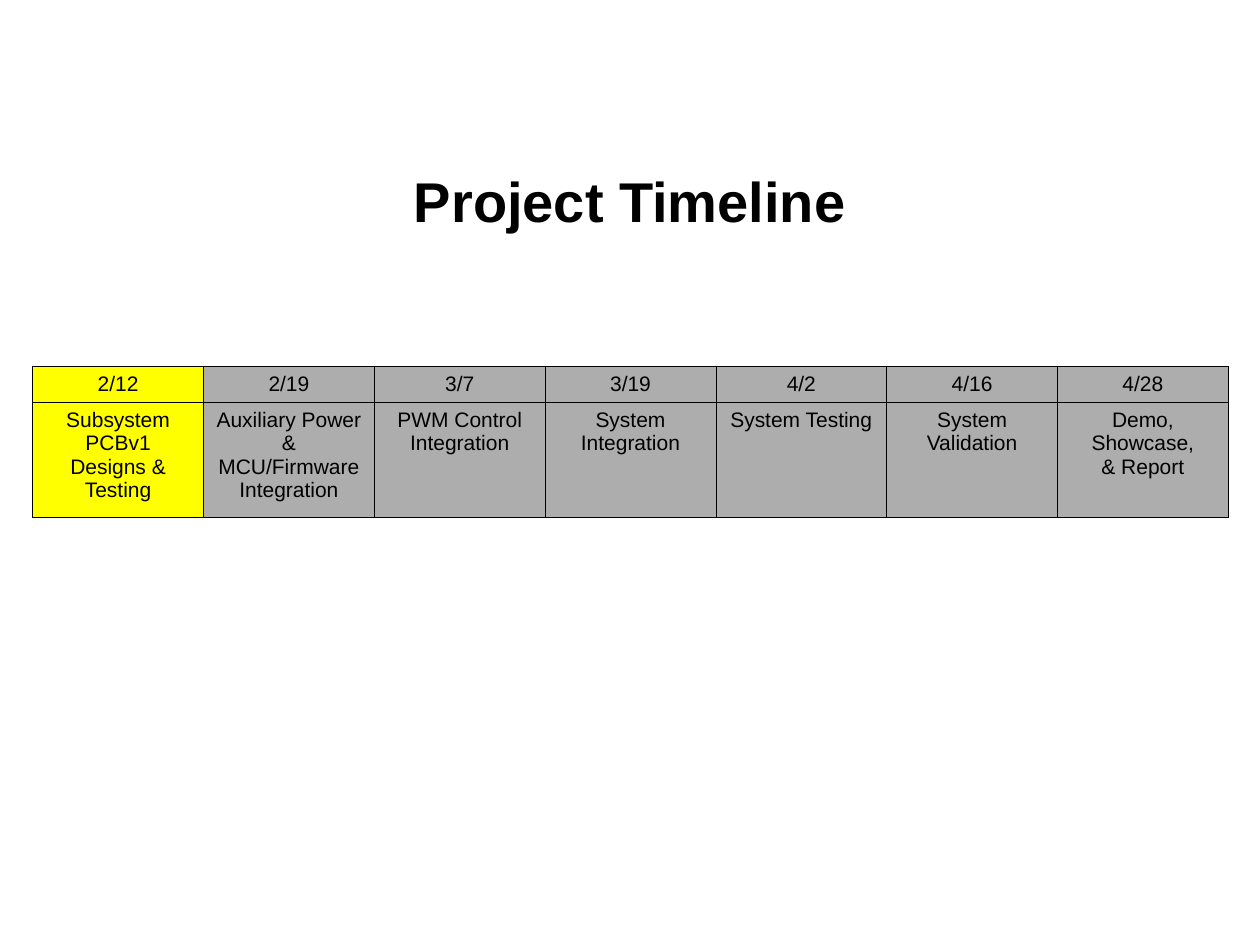
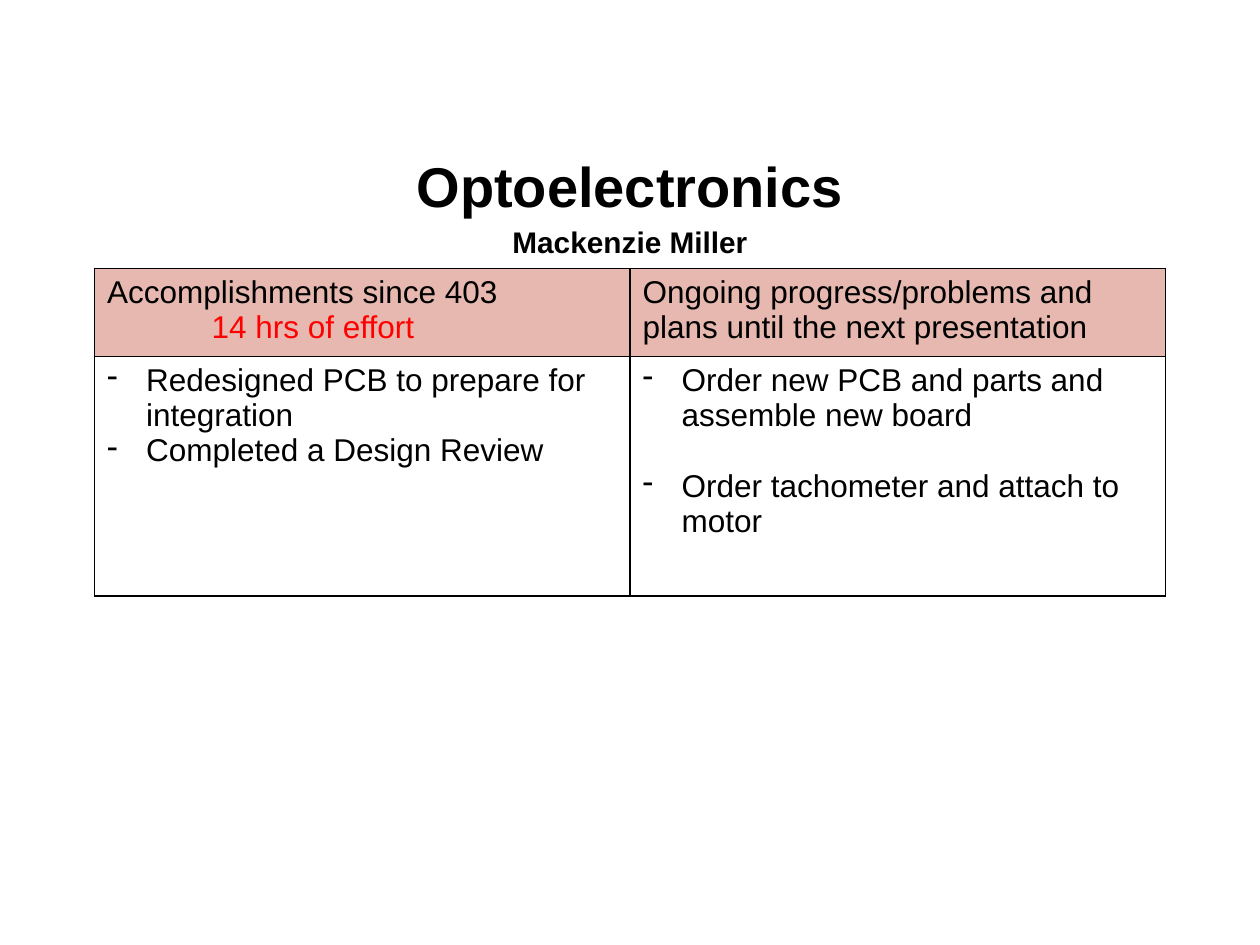
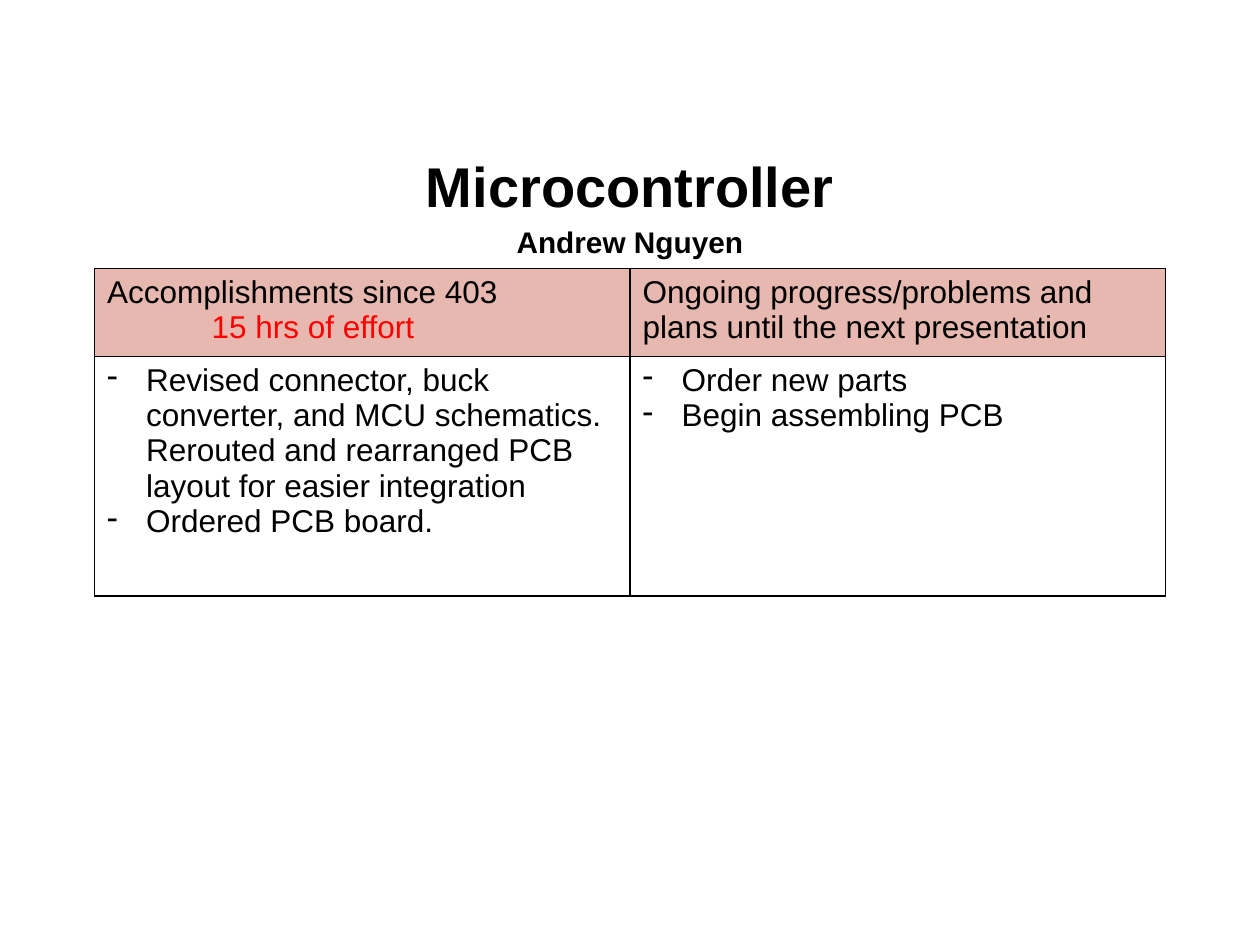
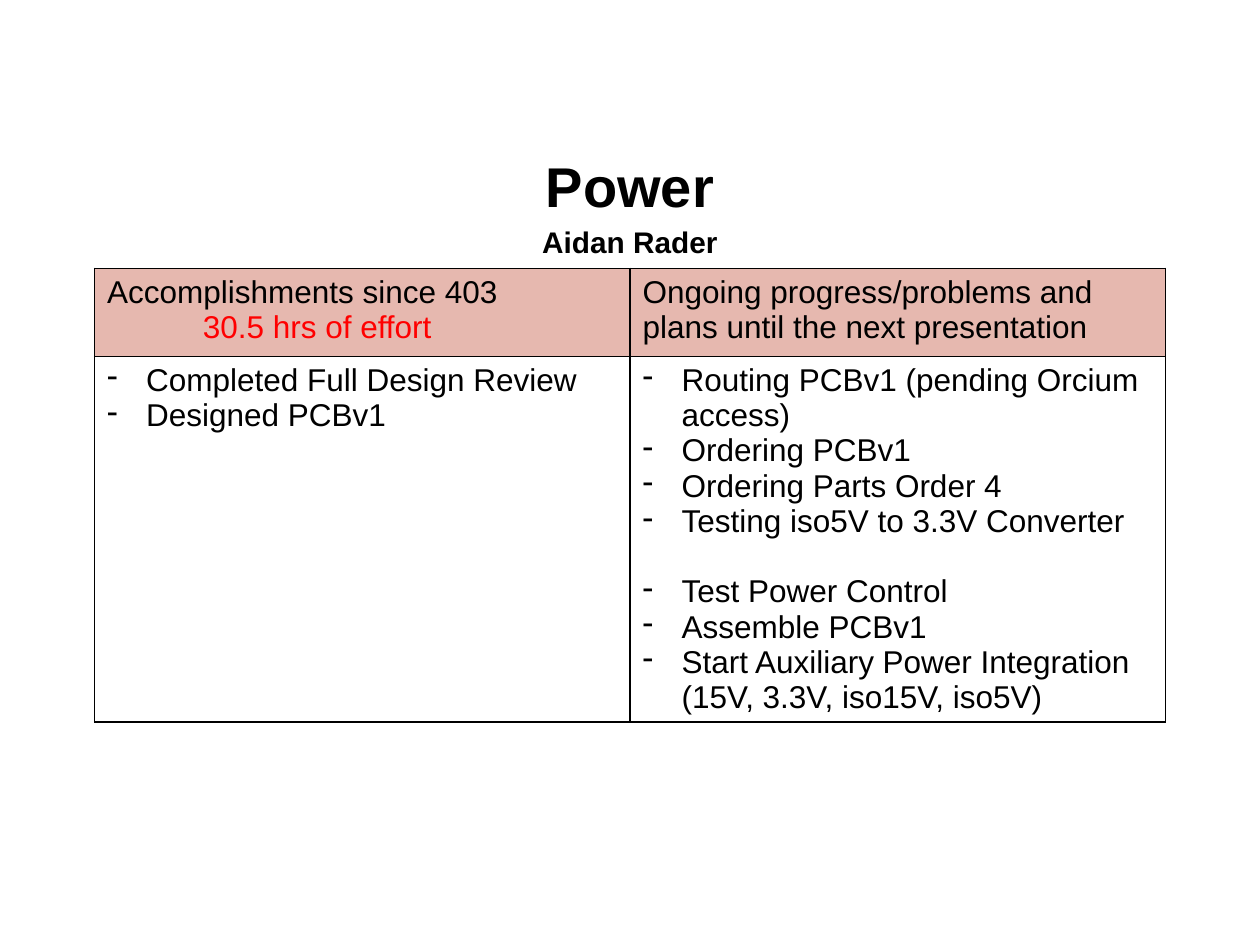
from pptx import Presentation
from pptx.dml.color import RGBColor as RGB
from pptx.enum.text import MSO_ANCHOR as Anchor, MSO_AUTO_SIZE as AutoSize, PP_ALIGN as Align
from pptx.oxml.ns import qn
from pptx.util import Inches, Pt
from lxml.etree import SubElement

# Shared look
W, H = Inches(10), Inches(7.5)
FONT = "Arial"
COLORS = {"text": "000000", "line": "000000", "effort": "FF0000",
          "current": "FFFF00", "upcoming": "ADADAD", "header": "E6B8AF"}
BULLET_INDENT = Inches(0.31)
BLANK_LINE = Pt(20)

# Content
MILESTONES = [
    ("2/12", "Subsystem PCBv1 Designs & Testing"),
    ("2/19", "Auxiliary Power & MCU/Firmware Integration"),
    ("3/7", "PWM Control Integration"),
    ("3/19", "System Integration"),
    ("4/2", "System Testing"),
    ("4/16", "System\nValidation"),
    ("4/28", "Demo, Showcase,\n& Report"),
]
DONE_HEAD = "Accomplishments since 403"
NEXT_HEAD = "Ongoing progress/problems and plans until the next presentation"
# Each list of plans is split into groups set apart by one line
REPORTS = [
    dict(title="Optoelectronics", owner="Mackenzie Miller",
         effort="14 hrs of effort", effort_indent=0.83, body_height=1.9,
         done=[["Redesigned PCB to prepare for integration",
                "Completed a Design Review"]],
         plans=[["Order new PCB and parts and assemble new board"],
                ["Order tachometer and attach to motor"]]),
    dict(title="Microcontroller", owner="Andrew Nguyen",
         effort="15 hrs of effort", effort_indent=0.83, body_height=1.9,
         done=[["Revised connector, buck converter, and MCU schematics. "
                "Rerouted and rearranged PCB layout for easier integration",
                "Ordered PCB board."]],
         plans=[["Order new parts", "Begin assembling PCB"]]),
    dict(title="Power", owner="Aidan Rader",
         effort="30.5 hrs of effort", effort_indent=0.76, body_height=2.9,
         done=[["Completed Full Design Review", "Designed PCBv1"]],
         plans=[["Routing PCBv1 (pending Orcium access)", "Ordering PCBv1",
                 "Ordering Parts Order 4", "Testing iso5V to 3.3V Converter"],
                ["Test Power Control", "Assemble PCBv1",
                 "Start Auxiliary Power Integration (15V, 3.3V, iso15V, iso5V)"]]),
]


def format_runs(p, size, color="text", bold=False):
    for r in p.runs:
        r.font.name, r.font.size, r.font.bold = FONT, Pt(size), bold
        r.font.color.rgb = RGB.from_string(COLORS[color])


def add_titled_slide(prs, title, owner=None):
    s = prs.slides.add_slide(prs.slide_layouts[5])
    sp = s.shapes.title
    sp.left, sp.top = int(W * 0.05), Inches(1.15)
    sp.width, sp.height = int(W * 0.9), Inches(0.88)
    tf = sp.text_frame
    tf.text = f"{title}\n{owner}" if owner else title
    tf.word_wrap, tf.auto_size = True, AutoSize.NONE
    tf.vertical_anchor = Anchor.MIDDLE
    for p, size in zip(tf.paragraphs, (32, 17)):
        p.alignment = Align.CENTER
        if owner:
            p.line_spacing = 1.15
        format_runs(p, size, bold=True)
    return s


def add_grid(s, left, top, width, row_heights, cols, line_width):
    """Add an unstyled table with equal columns and ruled cells."""
    frame = s.shapes.add_table(len(row_heights), cols, Inches(left), Inches(top),
                               Inches(width), Inches(sum(row_heights)))
    table = frame.table
    table.first_row = table.horz_banding = False
    for row, height in zip(table.rows, row_heights):
        row.height = Inches(height)
    for col in table.columns:
        col.width = Inches(width / cols)
    for cell in table.iter_cells():
        cell.fill.background()
        rule_cell(cell, line_width)
    return table


def rule_cell(cell, line_width):
    tc_pr = cell._tc.get_or_add_tcPr()
    for i, side in enumerate(("a:lnL", "a:lnR", "a:lnT", "a:lnB")):
        ln = SubElement(tc_pr, qn(side), w=str(Pt(line_width)))
        fill = SubElement(ln, qn("a:solidFill"))
        SubElement(fill, qn("a:srgbClr"), val=COLORS["line"])
        tc_pr.remove(ln)
        tc_pr.insert(i, ln)


def fill_cell(cell, color):
    cell.fill.solid()
    cell.fill.fore_color.rgb = RGB.from_string(COLORS[color])


def write_cell(cell, text, size, align=Align.LEFT):
    cell.text_frame.text = text
    for p in cell.text_frame.paragraphs:
        p.alignment = align
        format_runs(p, size)


def write_bullets(cell, groups):
    write_cell(cell, "\n".join(item for group in groups for item in group), 18)
    paragraphs = iter(cell.text_frame.paragraphs)
    for g, group in enumerate(groups):
        for i, _ in enumerate(group):
            p = next(paragraphs)
            if g and not i:
                p.space_before = BLANK_LINE
            p_pr = p._p.get_or_add_pPr()
            p_pr.set("marL", str(BULLET_INDENT))
            p_pr.set("indent", str(-BULLET_INDENT))
            SubElement(p_pr, qn("a:buChar"), char="-")


def add_timeline(prs):
    s = add_titled_slide(prs, "Project Timeline")
    table = add_grid(s, 0.26, 2.91, 9.49, (0.28, 0.92), len(MILESTONES), 0.5)
    for col, (date, task) in enumerate(MILESTONES):
        head, body = table.cell(0, col), table.cell(1, col)
        head.margin_left = head.margin_right = head.margin_top = Inches(0.01)
        head.vertical_anchor = Anchor.BOTTOM
        for cell, text in ((head, date), (body, task)):
            write_cell(cell, text, 12, Align.CENTER)
            fill_cell(cell, "upcoming" if col else "current")


def add_report(prs, title, owner, effort, effort_indent, body_height, done, plans):
    s = add_titled_slide(prs, title, owner)
    table = add_grid(s, 0.75, 2.13, 8.5, (0.7, body_height), 2, 1)
    for col, head in enumerate((f"{DONE_HEAD}\n{effort}", NEXT_HEAD)):
        write_cell(table.cell(0, col), head, 18)
        fill_cell(table.cell(0, col), "header")
    # Hours stand indented under the first heading
    p = table.cell(0, 0).text_frame.paragraphs[1]
    p._p.get_or_add_pPr().set("marL", str(Inches(effort_indent)))
    format_runs(p, 18, "effort")
    for col, groups in enumerate((done, plans)):
        write_bullets(table.cell(1, col), groups)


def main():
    prs = Presentation()
    prs.slide_width, prs.slide_height = W, H
    add_timeline(prs)
    for report in REPORTS:
        add_report(prs, **report)
    prs.save("out.pptx")


if __name__ == "__main__":
    main()
